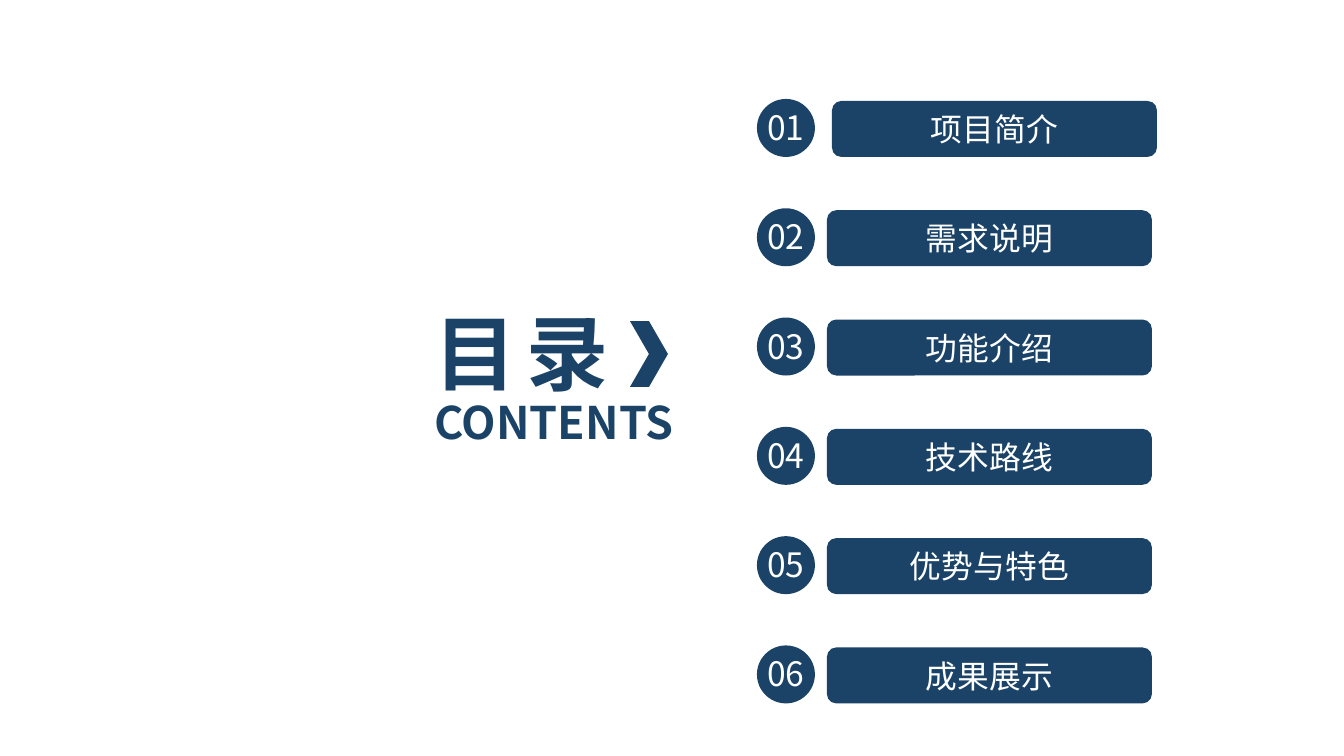
"""Build a contents slide with six numbered topics."""
import pptx
import pptx.util
import pptx.dml.color
import pptx.enum.shapes
import pptx.enum.text

TOPICS = ["项目简介", "需求说明", "功能介绍", "技术路线", "优势与特色", "成果展示"]
HEADS = [
    ("目 录", (421, 296, 316, 111), 44, -220),
    ("CONTENTS", (421, 388, 310, 67), 24, 0),
]
NAVY, WHITE = "1B4367", "FFFFFF"
FONT = "Noto Sans CJK SC"
SCALE = 914400 / 134.4
PITCH = 109.3
KIND = pptx.enum.shapes.MSO_SHAPE
ALIGN = pptx.enum.text.PP_ALIGN


def color(code):
    return pptx.dml.color.RGBColor.from_string(code)


def emu(*sides):
    return [round(side * SCALE) for side in sides]


def shape(home, kind, box):
    item = home.add_shape(kind, *emu(*box))
    item.shadow.inherit = False
    item.fill.solid()
    item.fill.fore_color.rgb = color(NAVY)
    item.line.fill.background()
    return item


def write(item, text, size, ink, align, bold=False, gap=0):
    frame = item.text_frame
    frame.word_wrap = True
    frame.vertical_anchor = pptx.enum.text.MSO_ANCHOR.MIDDLE
    para = frame.paragraphs[0]
    para.alignment = align
    run = para.add_run()
    run.text = text
    font = run.font
    font.name, font.size, font.bold = FONT, pptx.util.Pt(size), bold
    font.color.rgb = color(ink)
    props = run._r.get_or_add_rPr()
    if gap:
        props.set("spc", str(gap))
    face = props.makeelement(pptx.oxml.ns.qn("a:ea"), {"typeface": FONT})
    props.find(pptx.oxml.ns.qn("a:latin")).addnext(face)


deck = pptx.Presentation()
deck.slide_width, deck.slide_height = emu(1344, 756)
slide = deck.slides.add_slide(deck.slide_layouts[6])

for text, box, size, gap in HEADS:
    head = slide.shapes.add_textbox(*emu(*box))
    write(head, text, size, NAVY, ALIGN.LEFT, True, gap)
shape(slide.shapes, KIND.CHEVRON, (630, 321, 38, 66))

for row, topic in enumerate(TOPICS):
    step = row * PITCH
    left = 827 if row else 832
    bar = shape(slide.shapes, KIND.ROUNDED_RECTANGLE, (left, 101 + step, 325, 56))
    write(bar, topic, 17, WHITE, ALIGN.CENTER)
    badge = slide.shapes.add_group_shape()
    shape(badge.shapes, KIND.OVAL, (757, 99 + step, 58, 58))
    label = badge.shapes.add_textbox(*emu(751, 100 + step, 70, 54))
    write(label, f"{row + 1:02}", 18, WHITE, ALIGN.CENTER)

deck.save("out.pptx")
